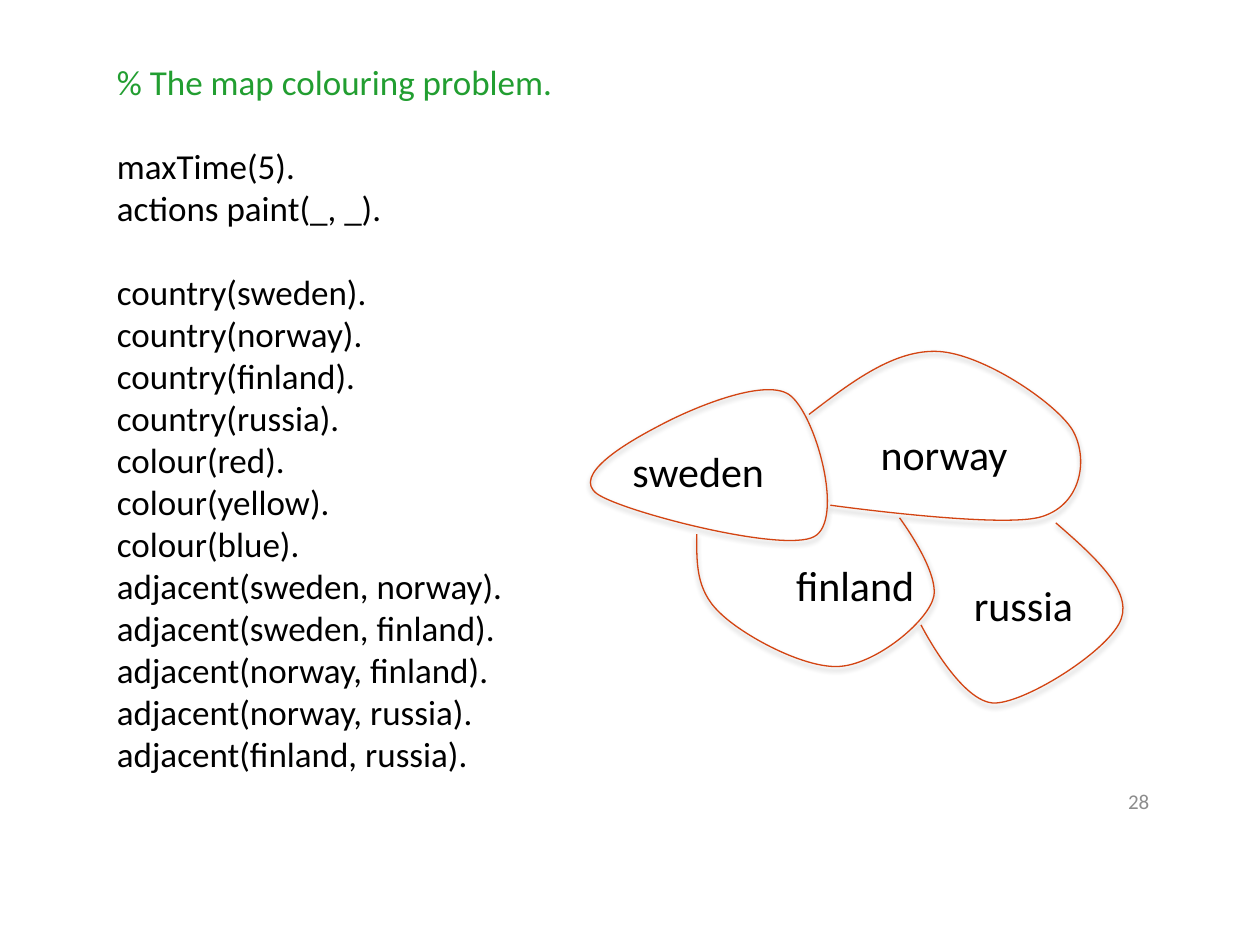
from lxml.etree import SubElement as Sub
from pptx import Presentation
from pptx.dml.color import RGBColor as RGB
from pptx.enum.text import MSO_ANCHOR as Anchor, PP_ALIGN as Align
from pptx.oxml.ns import qn
from pptx.util import Inches, Pt


class Theme:
    font = "Calibri"
    code, label, small = Pt(20), Pt(24), Pt(12)
    gap = Pt(24)
    ink, note, grey = RGB(0, 0, 0), RGB(0x22, 0x9E, 0x31), RGB(0x8C, 0x8C, 0x8C)
    edge = RGB(0xD3, 0x44, 0x12)
    thin = Pt(0.75)


deck = Presentation()
deck.slide_width, deck.slide_height = Inches(10), Inches(7.5)
col, row = deck.slide_width // 100, deck.slide_height // 75
slide = deck.slides.add_slide(deck.slide_layouts[6])


def add_text(x, y, w, h, lines, size, tint=Theme.ink):
    """Place lines of text on the grid; an empty line opens a gap."""
    box = slide.shapes.add_textbox(
        round(x * col), round(y * row), round(w * col), round(h * row))
    frame = box.text_frame
    frame.word_wrap = True
    gap, para = False, frame.paragraphs[0]
    for i, line in enumerate(lines):
        if not line:
            gap = True
            continue
        if i:
            para = frame.add_paragraph()
        para.text = line
        para.font.name, para.font.size = Theme.font, size
        para.font.color.rgb = tint
        if gap:
            para.space_before = Theme.gap
        gap = False
    return frame


def add_border(start, curves, close):
    """Draw a chain of Bezier curves, each given by three grid points."""
    pts = [(x * col, y * row) for curve in curves for x, y in curve]
    pen = slide.shapes.build_freeform(start[0] * col, start[1] * row)
    pen.add_line_segments(pts, close=close)
    shape = pen.convert_to_shape()
    steps = list(shape.element.iter(qn("a:lnTo")))
    for i in range(0, len(steps), 3):
        curve = steps[i].makeelement(qn("a:cubicBezTo"))
        steps[i].addprevious(curve)
        for step in steps[i:i + 3]:
            curve.append(step[0])
            step.getparent().remove(step)
    shape.fill.background()
    shape.line.color.rgb, shape.line.width = Theme.edge, Theme.thin
    shape.shadow.inherit = False
    glow = Sub(shape.element.spPr.find(qn("a:effectLst")), qn("a:outerShdw"),
               blurRad=str(Pt(3.1)), dist=str(Pt(1.8)), dir="5400000", rotWithShape="0")
    Sub(Sub(glow, qn("a:srgbClr"), val="000000"), qn("a:alpha"), val="35000")


# Page number
page = add_text(68.9, 61.6, 23.3, 4, ["28"], Theme.small, Theme.grey)
page.vertical_anchor = Anchor.MIDDLE
page.paragraphs[0].alignment = Align.RIGHT

# Program
lands = ["sweden", "norway", "finland", "russia"]
pairs = [(0, 1), (0, 2), (1, 2), (1, 3), (2, 3)]
lines = ["% The map colouring problem.", "", "maxTime(5).", "actions paint(_, _).", ""]
lines += [f"country({land})." for land in lands]
lines += [f"colour({hue})." for hue in ("red", "yellow", "blue")]
lines += [f"adjacent({lands[a]}, {lands[b]})." for a, b in pairs]
code = add_text(8.3, 4.3, 87.4, 61.3, lines, Theme.code)
code.paragraphs[0].font.color.rgb = Theme.note

# Map: start point, curves, closed or open
borders = [
    ((52.3, 33.8), [((49.8, 35.1), (45.3, 37.7), (47.4, 39.2)),
                    ((49.4, 40.6), (62.1, 43.9), (64.6, 42.6)),
                    ((67.1, 41.3), (64.7, 32.7), (62.6, 31.3)),
                    ((60.6, 30), (54.9, 32.4), (52.3, 33.8))], True),
    ((64.2, 32.9), [((67.6, 30.3), (71, 27.7), (74.5, 27.9)),
                    ((78, 28.1), (83.7, 31.9), (85.1, 34.1)),
                    ((86.4, 36.3), (85.9, 40), (82.7, 41)),
                    ((79.6, 42), (65.9, 40.1), (65.9, 40.1))], False),
    ((55.3, 42.4), [((55.3, 44.6), (55.2, 46.8), (57.1, 48.6)),
                    ((58.9, 50.4), (63.7, 53), (66.5, 52.9)),
                    ((69.3, 52.8), (73.2, 49.7), (74, 47.7)),
                    ((74.9, 45.8), (71.4, 41.1), (71.4, 41.1))], False),
    ((83.8, 41.5), [((86.8, 44.1), (89.8, 46.8), (89, 49.1)),
                    ((88.2, 51.5), (81.6, 55.7), (79, 55.8)),
                    ((76.3, 55.9), (73.1, 49.6), (73.1, 49.6))], False),
]
for border in borders:
    add_border(*border)

spots = [(49.2, 34.9, 14), (68.9, 33.5, 21.9), (62.2, 43.9, 16.9), (76.3, 45.5, 9.9)]
for land, (x, y, w) in zip(lands, spots):
    add_text(x, y, w, 5, [land], Theme.label)

deck.save("out.pptx")
